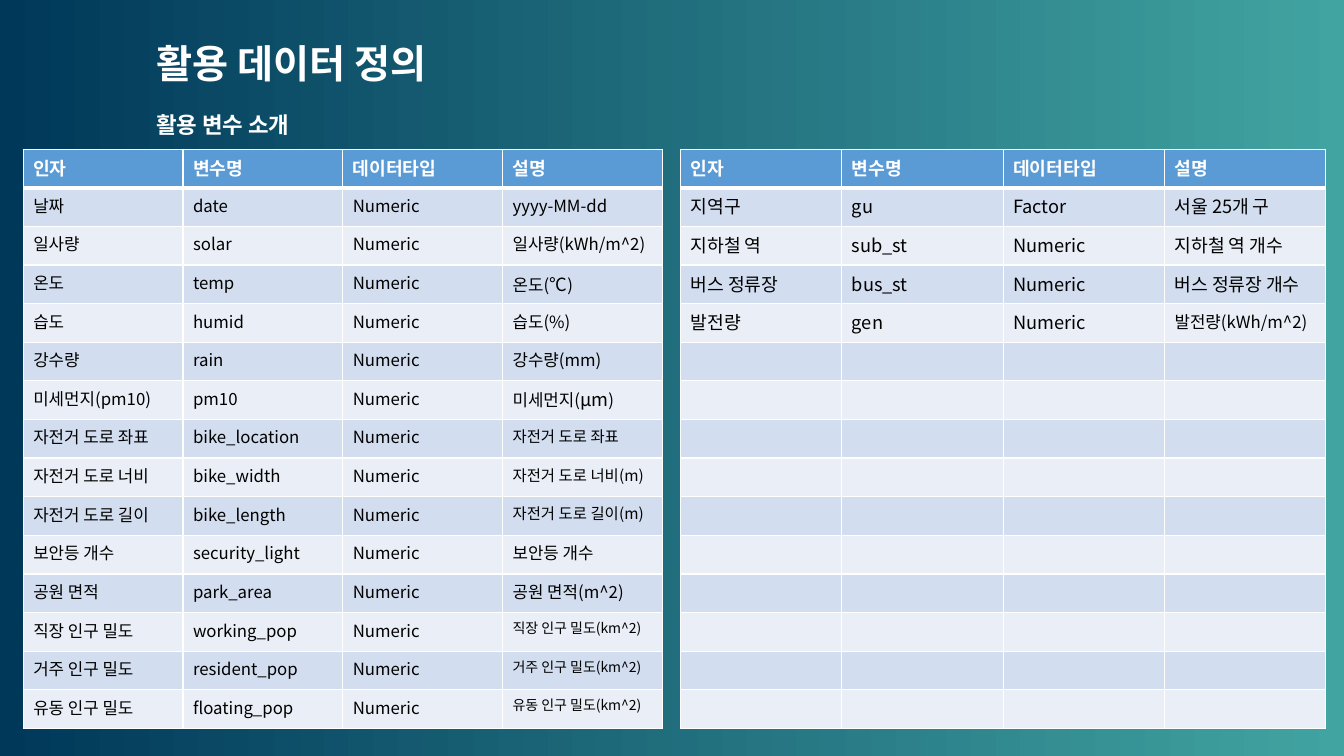
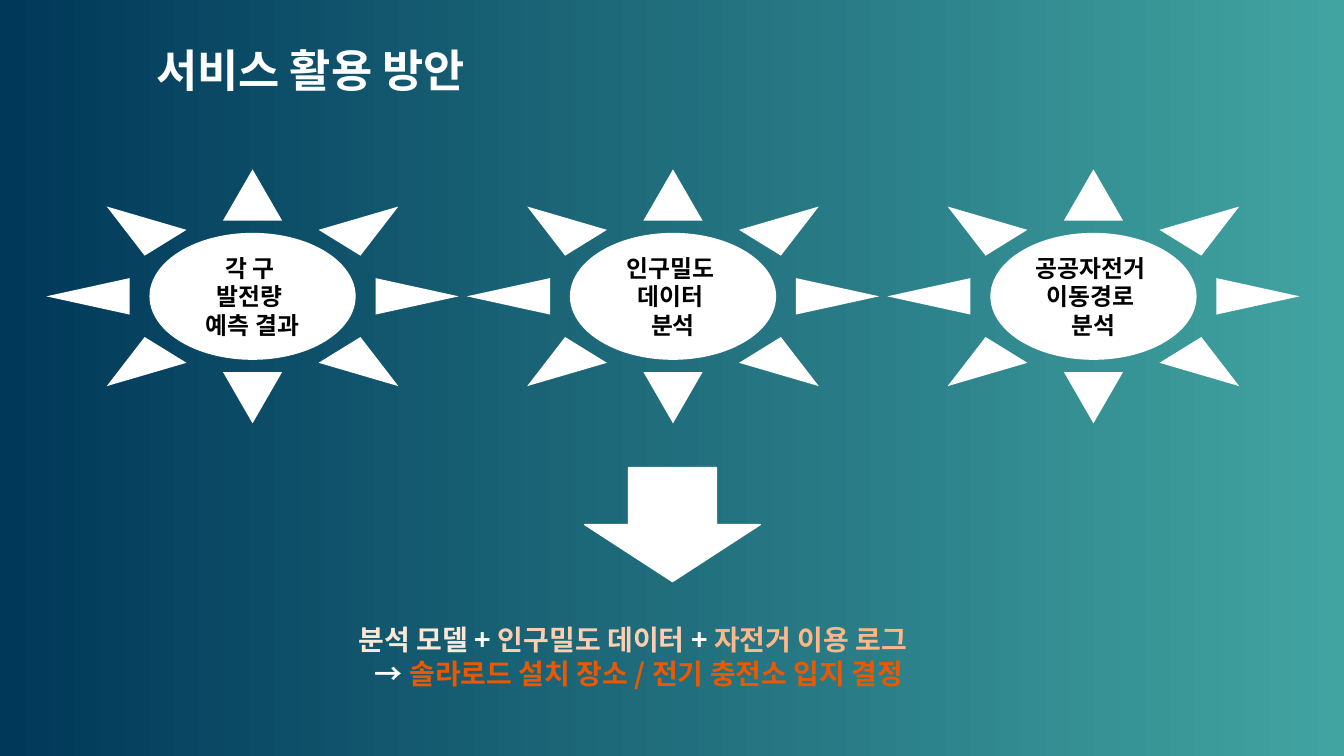
"""Build the data definition and service use slides."""
from dataclasses import dataclass
from typing import Any, Optional

from lxml.etree import SubElement
from pptx import Presentation
from pptx.dml.color import RGBColor as Rgb
from pptx.enum.shapes import MSO_SHAPE as Preset
from pptx.enum.text import MSO_ANCHOR as Anchor
from pptx.enum.text import MSO_AUTO_SIZE as AutoSize
from pptx.enum.text import PP_ALIGN as Align
from pptx.oxml.ns import qn
from pptx.util import Inches, Pt

COLORS = {
    "navy": "003859",
    "teal": "41A4A1",
    "white": "FFFFFF",
    "black": "000000",
    "header": "5B9BD5",
    "odd": "D2DEEF",
    "even": "EAEFF7",
    "model": "FFE7D8",
    "density": "FFCEB0",
    "log": "FFB689",
    "decision": "EB5800",
}
FONT = "Noto Sans CJK KR"
HEADING_FORMAT = {"alignment": Align.JUSTIFY, "line_spacing": 1.5}
CENTER_FORMAT = {"alignment": Align.CENTER}
GROWING_FRAME = {"word_wrap": True, "auto_size": AutoSize.SHAPE_TO_FIT_TEXT}
SUN_FRAME = {"word_wrap": True, "vertical_anchor": Anchor.MIDDLE}
HEADERS = ("인자", "변수명", "데이터타입", "설명")
ROW_COUNT = 15
SUN_LEFT, SUN_PITCH = 0.46, 4.17


@dataclass(frozen=True)
class Run:
    text: str
    size: float
    color: str = "white"
    bold: bool = True


@dataclass(frozen=True)
class Box:
    left: float
    top: float
    width: float
    height: float

    def lengths(self) -> tuple:
        return tuple(Inches(v) for v in (self.left, self.top, self.width, self.height))


@dataclass(frozen=True)
class Variable:
    label: str
    name: str
    meaning: str
    meaning_size: Optional[float] = None
    unit: str = ""
    kind: str = "Numeric"


@dataclass(frozen=True)
class VariableTable:
    box: Box
    body_size: float
    variables: tuple


WEATHER_AND_CITY = VariableTable(Box(0.23, 1.48, 6.34, 5.75), 12, (
    Variable("날짜", "date", "yyyy-MM-dd"),
    Variable("일사량", "solar", "일사량(kWh/m^2)"),
    Variable("온도", "temp", "온도", unit="°C"),
    Variable("습도", "humid", "습도(%)"),
    Variable("강수량", "rain", "강수량(mm)"),
    Variable("미세먼지(pm10)", "pm10", "미세먼지", unit="µm"),
    Variable("자전거 도로 좌표", "bike_location", "자전거 도로 좌표", 11),
    Variable("자전거 도로 너비", "bike_width", "자전거 도로 너비(m)", 11),
    Variable("자전거 도로 길이", "bike_length", "자전거 도로 길이(m)", 11),
    Variable("보안등 개수", "security_light", "보안등 개수"),
    Variable("공원 면적", "park_area", "공원 면적(m^2)"),
    Variable("직장 인구 밀도", "working_pop", "직장 인구 밀도(km^2)", 10),
    Variable("거주 인구 밀도", "resident_pop", "거주 인구 밀도(km^2)", 10),
    Variable("유동 인구 밀도", "floating_pop", "유동 인구 밀도(km^2)", 10),
))
DISTRICT = VariableTable(Box(6.75, 1.48, 6.4, 5.75), 13, (
    Variable("지역구", "gu", "서울 25개 구", kind="Factor"),
    Variable("지하철 역", "sub_st", "지하철 역 개수"),
    Variable("버스 정류장", "bus_st", "버스 정류장 개수"),
    Variable("발전량", "gen", "발전량(kWh/m^2)", 12),
))
ANALYSES = (
    ("각 구 ", "발전량 ", "예측 결과"),
    ("인구밀도 ", "데이터 ", "분석"),
    ("공공자전거 ", "이동경로 ", "분석"),
)
CONCLUSION = (
    (0.3, (
        Run("분석 모델 ", 20, "model"),
        Run("+ ", 20),
        Run("인구밀도 데이터 ", 20, "density"),
        Run("+ ", 20),
        Run("자전거 이용 로그", 20, "log"),
    )),
    (0.46, (
        Run("→ ", 20),
        Run("솔라로드 설치 장소 / 전기 충전소 입지 결정", 20, "decision"),
    )),
)


def rgb(color: str) -> Rgb:
    return Rgb.from_string(COLORS[color])


def apply(target: Any, values: dict) -> None:
    for attribute, value in values.items():
        setattr(target, attribute, value)


def paint(fill: Any, color: str) -> None:
    fill.solid()
    fill.fore_color.rgb = rgb(color)


def write(paragraph: Any, runs: tuple) -> None:
    for part in runs:
        run = paragraph.add_run()
        run.text = part.text
        apply(run.font, {"name": FONT, "size": Pt(part.size), "bold": part.bold})
        run.font.color.rgb = rgb(part.color)
        SubElement(run.font._element, qn("a:ea"), typeface=FONT)


def paragraph_at(frame: Any, index: int) -> Any:
    return frame.add_paragraph() if index else frame.paragraphs[0]


def add_heading(slide: Any, box: Box, text: str, size: float) -> None:
    frame = slide.shapes.add_textbox(*box.lengths()).text_frame
    apply(frame, GROWING_FRAME)
    apply(frame.paragraphs[0], HEADING_FORMAT)
    write(frame.paragraphs[0], (Run(text, size),))


def add_white_shape(slide: Any, preset: Preset, box: Box) -> Any:
    shape = slide.shapes.add_shape(preset, *box.lengths())
    shape.shadow.inherit = False
    paint(shape.fill, "white")
    shape.line.fill.background()
    return shape


def set_borders(cell: Any, bottom: float) -> None:
    properties = cell._tc.get_or_add_tcPr()
    widths = {"lnL": 1, "lnR": 1, "lnT": 1, "lnB": bottom}
    for position, (side, width) in enumerate(widths.items()):
        line = SubElement(properties, qn(f"a:{side}"), w=str(Pt(width)))
        fill = SubElement(line, qn("a:solidFill"))
        SubElement(fill, qn("a:srgbClr"), val=COLORS["white"])
        properties.insert(position, line)


def body_cells(variable: Variable, size: float) -> list:
    def plain(text: str, text_size: float = size) -> Run:
        return Run(text, text_size, "black", False)

    if variable.unit:
        meaning = (plain(f"{variable.meaning}("), plain(variable.unit, 13), plain(")"))
    else:
        meaning = (plain(variable.meaning, variable.meaning_size or size),)
    names = (variable.label, variable.name, variable.kind)
    return [(plain(name),) for name in names] + [meaning]


def add_variable_table(slide: Any, content: VariableTable) -> None:
    table = slide.shapes.add_table(ROW_COUNT, len(HEADERS), *content.box.lengths()).table
    table.horz_banding = False
    for column in table.columns:
        column.width = Inches(content.box.width / len(HEADERS))
    rows = [[(Run(header, 13),) for header in HEADERS]]
    rows += [body_cells(variable, content.body_size) for variable in content.variables]
    rows += [[()] * len(HEADERS)] * (ROW_COUNT - len(rows))
    for row_index, row in enumerate(rows):
        table.rows[row_index].height = Inches(content.box.height / ROW_COUNT)
        band = "header" if row_index == 0 else ("even", "odd")[row_index % 2]
        for column_index, runs in enumerate(row):
            cell = table.cell(row_index, column_index)
            paint(cell.fill, band)
            set_borders(cell, 1 if row_index else 3)
            paragraph = cell.text_frame.paragraphs[0]
            write(paragraph, runs)
            if not runs:
                SubElement(paragraph._p, qn("a:endParaRPr"), sz="1200")


def add_sun(slide: Any, left: float, lines: tuple) -> None:
    frame = add_white_shape(slide, Preset.SUN, Box(left, 1.68, 4.09, 2.52)).text_frame
    apply(frame, SUN_FRAME)
    for index, line in enumerate(lines):
        paragraph = paragraph_at(frame, index)
        apply(paragraph, CENTER_FORMAT)
        write(paragraph, (Run(line, 17, "black"),))


def add_conclusion(slide: Any) -> None:
    frame = slide.shapes.add_textbox(*Box(3.16, 6.13, 7.02, 0.76).lengths()).text_frame
    apply(frame, GROWING_FRAME)
    for index, (indent, runs) in enumerate(CONCLUSION):
        paragraph = paragraph_at(frame, index)
        properties = paragraph._p.get_or_add_pPr()
        properties.set("marL", str(Inches(indent)))
        properties.set("indent", "0")
        write(paragraph, runs)


def build_data_slide(slide: Any) -> None:
    add_heading(slide, Box(1.45, 0.11, 4.78, 0.72), "활용 데이터 정의", 28)
    add_heading(slide, Box(1.45, 0.92, 2.96, 0.45), "활용 변수 소개", 16)
    for content in (WEATHER_AND_CITY, DISTRICT):
        add_variable_table(slide, content)


def build_service_slide(slide: Any) -> None:
    add_heading(slide, Box(1.45, 0.11, 4.78, 0.9), "서비스 활용 방안", 32)
    for index, lines in enumerate(ANALYSES):
        add_sun(slide, SUN_LEFT + index * SUN_PITCH, lines)
    arrow = add_white_shape(slide, Preset.DOWN_ARROW, Box(5.8, 4.64, 1.74, 1.13))
    paint(arrow.line.fill, "white")
    arrow.line.width = Pt(1)
    add_conclusion(slide)


def main() -> None:
    deck = Presentation()
    apply(deck, {"slide_width": Inches(13.33), "slide_height": Inches(7.5)})
    backdrop = deck.slide_master.background.fill
    backdrop.gradient()
    backdrop.gradient_angle = 0
    for stop, color, position in zip(backdrop.gradient_stops, ("navy", "teal"), (0, 1)):
        stop.color.rgb = rgb(color)
        stop.position = position
    for build in (build_data_slide, build_service_slide):
        build(deck.slides.add_slide(deck.slide_layouts[6]))
    deck.save("out.pptx")


if __name__ == "__main__":
    main()
